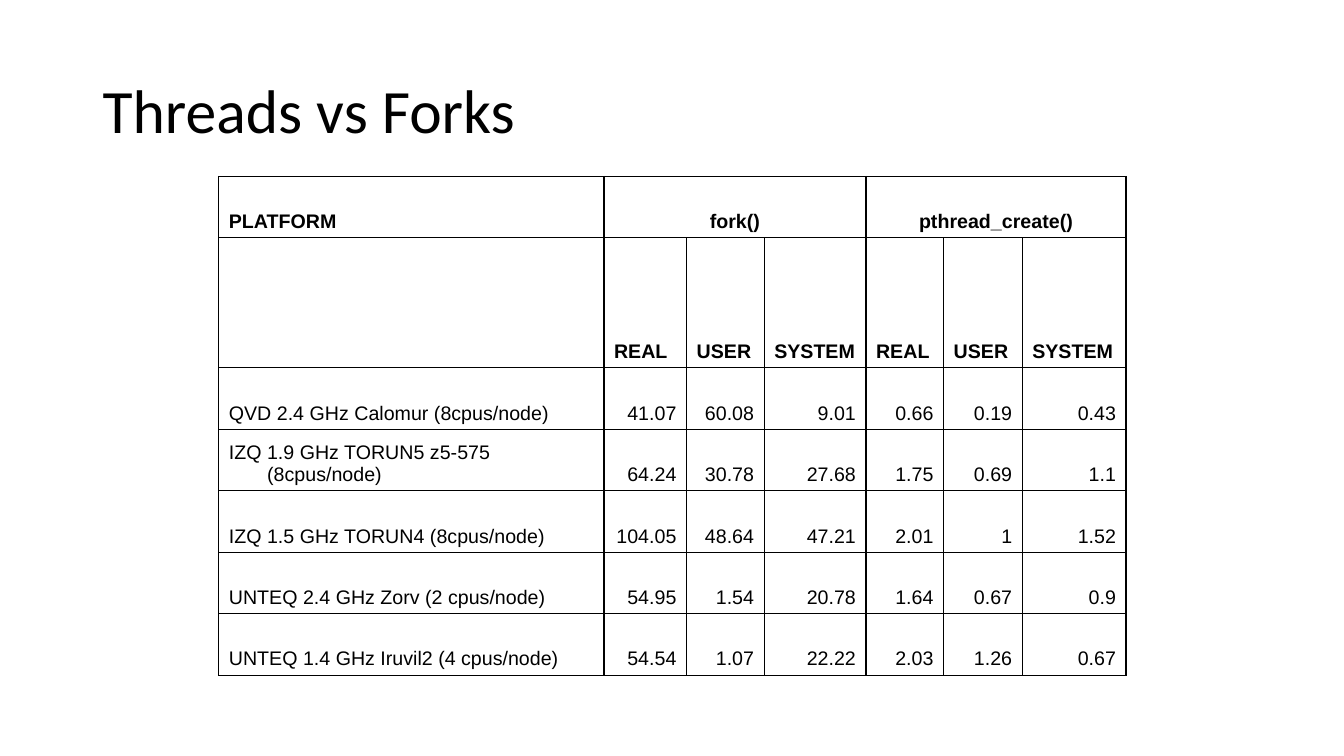
from dataclasses import dataclass

from lxml import etree
from pptx import Presentation
from pptx.dml.color import RGBColor
from pptx.enum.text import MSO_ANCHOR, PP_ALIGN
from pptx.oxml.ns import qn
from pptx.util import Inches, Pt

LEFT, CENTER, RIGHT = PP_ALIGN.LEFT, PP_ALIGN.CENTER, PP_ALIGN.RIGHT
BOTTOM, MIDDLE = MSO_ANCHOR.BOTTOM, MSO_ANCHOR.MIDDLE

SLIDE_WIDTH, SLIDE_HEIGHT = Inches(13.33), Inches(7.5)
COLORS = {"text": "000000", "border": "000000"}
TITLE_FONT = {"name": "Calibri", "size": Pt(44), "bold": False}
HEADER_FONT = {"name": "Arial", "size": Pt(14), "bold": True}
BODY_FONT = {**HEADER_FONT, "bold": False}

GRID = Inches(0.01)
COLUMN_UNITS = (382, 82, 77, 101, 77, 78, 103)
ROW_UNITS = (61, 129, 61, 61, 61, 61, 61)
HANGING_INDENT = 38 * GRID
BORDER_WIDTH = Pt(1)
TIMES = ("REAL", "USER", "SYSTEM")


@dataclass(frozen=True)
class Area:
    """A rectangle in grid units."""
    left: int
    top: int
    width: int
    height: int

    def lengths(self) -> tuple[int, ...]:
        return tuple(units * GRID for units in (self.left, self.top, self.width, self.height))


@dataclass(frozen=True)
class Group:
    """A header cell spanning one set of timings."""
    name: str
    column: int


@dataclass(frozen=True)
class Platform:
    name: str
    fork: tuple[str, str, str]
    pthread: tuple[str, str, str]


TITLE_AREA = Area(92, 40, 1150, 145)
TABLE_AREA = Area(217, 175, sum(COLUMN_UNITS), sum(ROW_UNITS))
GROUPS = (Group("fork()", 1), Group("pthread_create()", 4))
PLATFORMS = (
    Platform("QVD 2.4 GHz Calomur (8cpus/node)", ("41.07", "60.08", "9.01"), ("0.66", "0.19", "0.43")),
    Platform("IZQ 1.9 GHz TORUN5 z5-575 (8cpus/node)", ("64.24", "30.78", "27.68"), ("1.75", "0.69", "1.1")),
    Platform("IZQ 1.5 GHz TORUN4 (8cpus/node)", ("104.05", "48.64", "47.21"), ("2.01", "1", "1.52")),
    Platform("UNTEQ 2.4 GHz Zorv (2 cpus/node)", ("54.95", "1.54", "20.78"), ("1.64", "0.67", "0.9")),
    Platform("UNTEQ 1.4 GHz Iruvil2 (4 cpus/node)", ("54.54", "1.07", "22.22"), ("2.03", "1.26", "0.67")),
)


def write(paragraph, text: str, font_values: dict, alignment=LEFT) -> None:
    paragraph.alignment = alignment
    run = paragraph.add_run()
    run.text = text
    for attribute, value in font_values.items():
        setattr(run.font, attribute, value)
    run.font.color.rgb = RGBColor.from_string(COLORS["text"])


def write_cell(cell, text: str, font_values: dict, alignment=LEFT) -> None:
    paragraph = cell.text_frame.paragraphs[0]
    write(paragraph, text, font_values, alignment)
    properties = paragraph._p.get_or_add_pPr()
    properties.set("marL", str(HANGING_INDENT))
    properties.set("indent", str(-HANGING_INDENT))


def format_cell(cell) -> None:
    """Give the cell a full border, no fill and bottom-anchored text."""
    properties = cell._tc.get_or_add_tcPr()
    for side in ("lnL", "lnR", "lnT", "lnB"):
        line = etree.SubElement(properties, qn(f"a:{side}"), w=str(BORDER_WIDTH))
        fill = etree.SubElement(line, qn("a:solidFill"))
        etree.SubElement(fill, qn("a:srgbClr"), val=COLORS["border"])
    cell.fill.background()
    cell.vertical_anchor = BOTTOM


def add_title(slide, text: str) -> None:
    frame = slide.shapes.add_textbox(*TITLE_AREA.lengths()).text_frame
    frame.word_wrap = True
    frame.vertical_anchor = MIDDLE
    frame.paragraphs[0].line_spacing = 0.9
    write(frame.paragraphs[0], text, TITLE_FONT)


def add_timing_table(slide) -> None:
    table = slide.shapes.add_table(len(ROW_UNITS), len(COLUMN_UNITS), *TABLE_AREA.lengths()).table
    table.first_row = table.horz_banding = False
    for column, units in zip(table.columns, COLUMN_UNITS):
        column.width = units * GRID
    for row, units in zip(table.rows, ROW_UNITS):
        row.height = units * GRID
    for cell in table.iter_cells():
        format_cell(cell)

    write_cell(table.cell(0, 0), "PLATFORM", HEADER_FONT)
    for group in GROUPS:
        header = table.cell(0, group.column)
        header.merge(table.cell(0, group.column + len(TIMES) - 1))
        write_cell(header, group.name, HEADER_FONT, CENTER)
        for offset, label in enumerate(TIMES):
            write_cell(table.cell(1, group.column + offset), label, HEADER_FONT)
    for row, platform in enumerate(PLATFORMS, start=2):
        write_cell(table.cell(row, 0), platform.name, BODY_FONT)
        for column, value in enumerate(platform.fork + platform.pthread, start=1):
            write_cell(table.cell(row, column), value, BODY_FONT, RIGHT)


def main() -> None:
    presentation = Presentation()
    presentation.slide_width, presentation.slide_height = SLIDE_WIDTH, SLIDE_HEIGHT
    slide = presentation.slides.add_slide(presentation.slide_layouts[6])
    add_timing_table(slide)
    add_title(slide, "Threads vs Forks")
    presentation.save("out.pptx")


if __name__ == "__main__":
    main()
